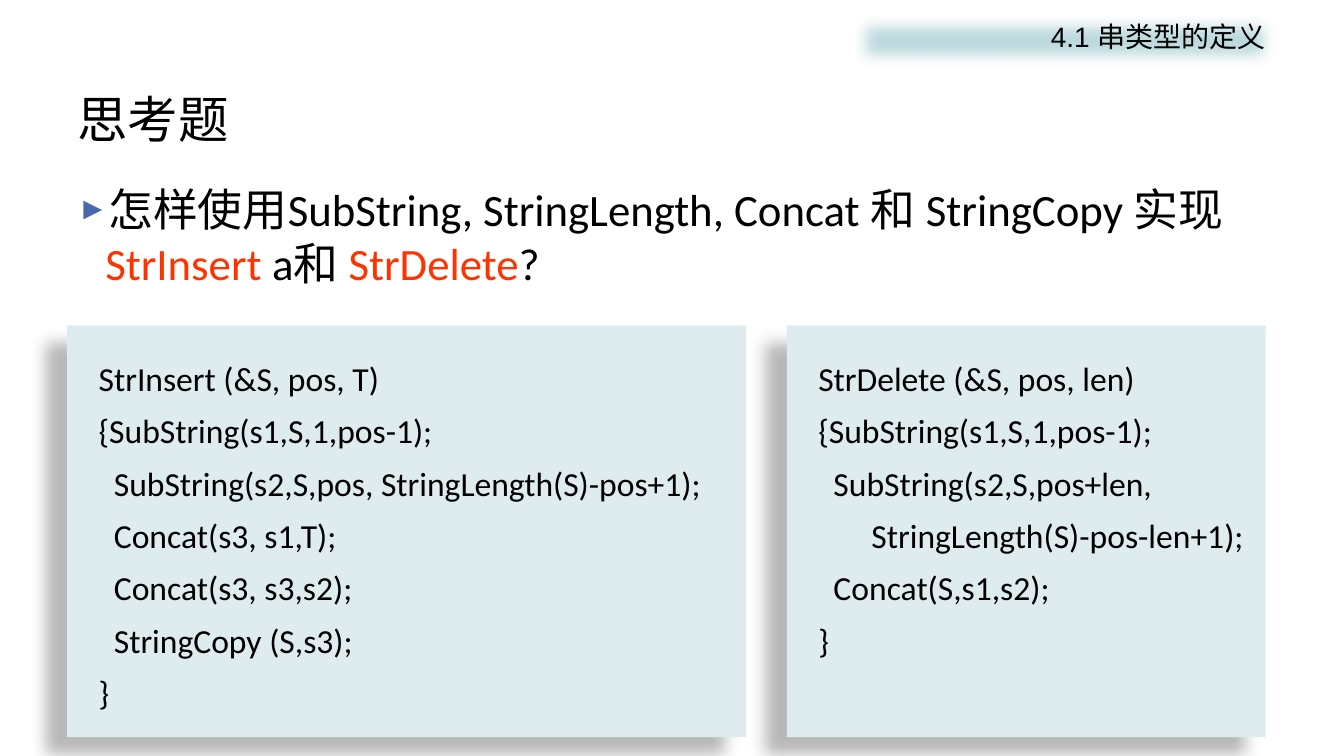
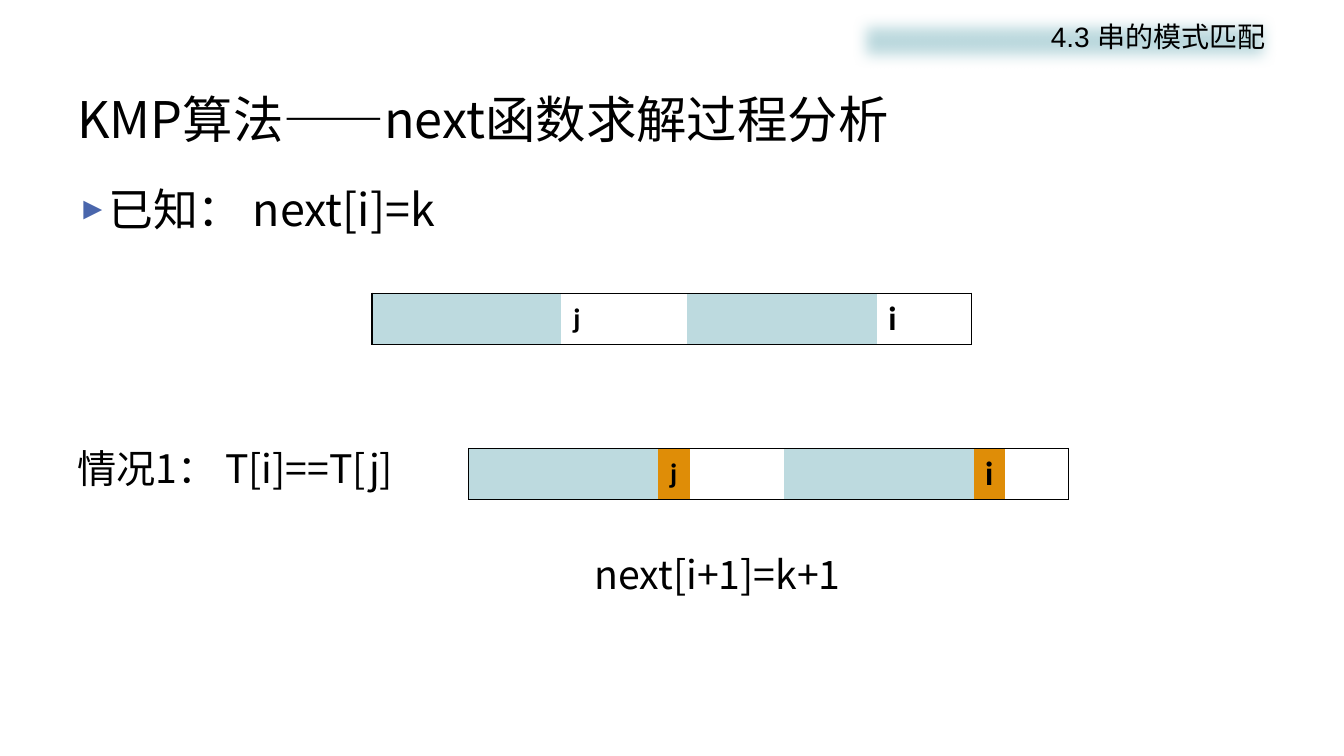
from dataclasses import dataclass

import lxml.etree
import pptx
import pptx.dml.color
import pptx.enum.shapes
import pptx.enum.text
import pptx.oxml.ns
import pptx.util

Pt = pptx.util.Pt
RGB = pptx.dml.color.RGBColor.from_string
ALIGN = pptx.enum.text.PP_ALIGN
ANCHOR = pptx.enum.text.MSO_ANCHOR


@dataclass(frozen=True)
class Theme:
    text: str = "000000"
    accent: str = "FF3300"
    bullet: str = "4A66AC"
    band: str = "BDDADF"
    panel: str = "DEECEF"
    blank: str = "FFFFFF"
    mark: str = "DF8D07"
    cjk: str = "Noto Sans CJK SC"
    latin: str = "Calibri"
    header: str = "Arial"
    title_size: int = 36
    body_size: int = 32
    note_size: int = 28
    code_size: int = 24
    small_size: int = 20


theme = Theme()


def add_xml(parent, markup, index=None):
    """Parse one DrawingML element and put it into parent."""
    tag, rest = markup.split(" ", 1)
    el = lxml.etree.fromstring(f"<a:{tag} {pptx.oxml.ns.nsdecls('a')} {rest}")
    parent.insert(len(parent) if index is None else index, el)


def style(p, font, size, align=ALIGN.LEFT, bold=False):
    """Format a paragraph, with one typeface for Latin and Chinese text."""
    p.alignment = align
    p.space_before = Pt(0)
    p.font.name = font
    p.font.size = Pt(size)
    p.font.bold = bold
    p.font.color.rgb = RGB(theme.text)
    latin = p._p.pPr.find(".//" + pptx.oxml.ns.qn("a:latin"))
    add_xml(latin.getparent(), f'ea typeface="{font}"/>', latin.getparent().index(latin) + 1)


prs = pptx.Presentation()
prs.slide_width, prs.slide_height = Pt(960), Pt(540)

# Section, title, body font, body size, body runs (text, accented)
pages = [
    ("4.1 串类型的定义", "思考题", theme.latin, (864, 110), [
        ("怎样使用SubString, StringLength, Concat 和 StringCopy 实现 ", False),
        ("StrInsert ", True), ("a和 ", False), ("StrDelete", True), ("?", False)]),
    ("4.3 串的模式匹配", "KMP算法——next函数求解过程分析", theme.cjk, (303, 67), [
        ("已知： next[i]=k", False)]),
]

# Title, bulleted body and section band on every slide
slides = []
for section, title, body_font, (body_w, body_h), runs in pages:
    s = prs.slides.add_slide(prs.slide_layouts[3])
    slides.append(s)
    heading, body, band = s.placeholders
    for sp, box in ((heading, (48, 57.6, 864, 54)),
                    (body, (48, 126, body_w, body_h)),
                    (band, (609, 10, 302.5, 39))):
        sp.left, sp.top, sp.width, sp.height = map(Pt, box)
        sp.text_frame.word_wrap = True
        sp.text_frame.auto_size = pptx.enum.text.MSO_AUTO_SIZE.NONE

    heading.text_frame.text = title
    heading.text_frame.vertical_anchor = ANCHOR.MIDDLE
    style(heading.text_frame.paragraphs[0], theme.cjk, theme.title_size)

    p = body.text_frame.paragraphs[0]
    pPr = p._p.get_or_add_pPr()
    pPr.set("marL", str(Pt(20)))
    pPr.set("indent", str(Pt(-20)))
    add_xml(pPr, f'buClr ><a:srgbClr val="{theme.bullet}"/></a:buClr>')
    add_xml(pPr, 'buSzPct val="70000"/>')
    add_xml(pPr, 'buChar char="►"/>')
    style(p, body_font, theme.body_size)
    for text, accented in runs:
        r = p.add_run()
        r.text = text
        if accented:
            r.font.color.rgb = RGB(theme.accent)

    band.fill.solid()
    band.fill.fore_color.rgb = RGB(theme.band)
    band.shadow.inherit = False
    add_xml(band._element.spPr.find(pptx.oxml.ns.qn("a:effectLst")),
            f'softEdge rad="{Pt(10)}"/>')
    band.text_frame.text = section
    p = band.text_frame.paragraphs[0]
    pPr = p._p.get_or_add_pPr()
    pPr.set("marL", "0")
    pPr.set("indent", "0")
    add_xml(pPr, "buNone />")
    style(p, theme.header, theme.small_size, ALIGN.RIGHT)

# Slide 1: code panels
panels = [
    (48, 485, ["StrInsert (&S, pos, T)",
               "{SubString(s1,S,1,pos-1);",
               "  SubString(s2,S,pos, StringLength(S)-pos+1);",
               "  Concat(s3, s1,T);",
               "  Concat(s3, s3,s2);",
               "  StringCopy (S,s3);",
               "}"]),
    (562, 342, ["StrDelete (&S, pos, len)",
                "{SubString(s1,S,1,pos-1);",
                "  SubString(s2,S,pos+len,",
                "       StringLength(S)-pos-len+1);",
                "  Concat(S,s1,s2);",
                "}"]),
]
for left, width, lines in panels:
    sp = slides[0].shapes.add_shape(pptx.enum.shapes.MSO_SHAPE.RECTANGLE,
                                    Pt(left), Pt(232.5), Pt(width), Pt(294))
    sp.fill.solid()
    sp.fill.fore_color.rgb = RGB(theme.panel)
    sp.line.fill.background()
    sp.shadow.inherit = False
    add_xml(sp._element.spPr.find(pptx.oxml.ns.qn("a:effectLst")),
            f'outerShdw blurRad="{Pt(11.8)}" dist="{Pt(19.7)}" dir="{141 * 60000}" '
            f'algn="ctr" rotWithShape="0"><a:srgbClr val="{theme.text}">'
            '<a:alpha val="28000"/></a:srgbClr></a:outerShdw>')
    tf = sp.text_frame
    tf.word_wrap = True
    tf.vertical_anchor = ANCHOR.TOP
    tf.margin_left, tf.margin_top = Pt(22.5), Pt(14.4)
    tf.text = "\n".join(lines)
    for p in tf.paragraphs:
        style(p, theme.latin, theme.code_size)
        p.line_spacing = 1.3

# Slide 2: pattern strips, with matching prefixes shaded
cells, cell_w, strip_h = 19, 22.55, 36
labels = {6: ("j", theme.small_size), 16: ("i", theme.code_size)}
for left, top, label_fill in ((265.7, 209.5, theme.blank), (334.8, 320.4, theme.mark)):
    table = slides[1].shapes.add_table(1, cells, Pt(left), Pt(top),
                                       Pt(cells * cell_w), Pt(strip_h)).table
    table.first_row = table.horz_banding = False
    style_id = table._tbl.tblPr.find(pptx.oxml.ns.qn("a:tableStyleId"))
    style_id.text = "{2D5ABB26-0587-4C30-8999-92F81FD0307C}"
    for i in range(cells):
        table.columns[i].width = Pt(cell_w)
        cell = table.cell(0, i)
        cell.margin_left = cell.margin_right = 0
        cell.vertical_anchor = ANCHOR.MIDDLE
        fill = theme.band if i % 10 < 6 else theme.blank
        if i in labels:
            fill = label_fill
            text, size = labels[i]
            cell.text = text
            style(cell.text_frame.paragraphs[0], theme.latin, size, ALIGN.CENTER, True)
        cell.fill.solid()
        cell.fill.fore_color.rgb = RGB(fill)
        sides = ["L"] * (i == 0) + ["R"] * (i == cells - 1) + ["T", "B"]
        for k, side in enumerate(sides):
            add_xml(cell._tc.tcPr,
                    f'ln{side} w="{Pt(1)}"><a:solidFill><a:srgbClr val="{theme.text}"/>'
                    f'</a:solidFill></a:ln{side}>', k)

# Slide 2: case and result
for left, top, width, text in ((48, 314, 278, "情况1： T[i]==T[j]"),
                               (417.6, 389.5, 223, "next[i+1]=k+1")):
    tf = slides[1].shapes.add_textbox(Pt(left), Pt(top), Pt(width), Pt(41)).text_frame
    tf.word_wrap = True
    tf.text = text
    style(tf.paragraphs[0], theme.cjk, theme.note_size)

prs.save("out.pptx")
